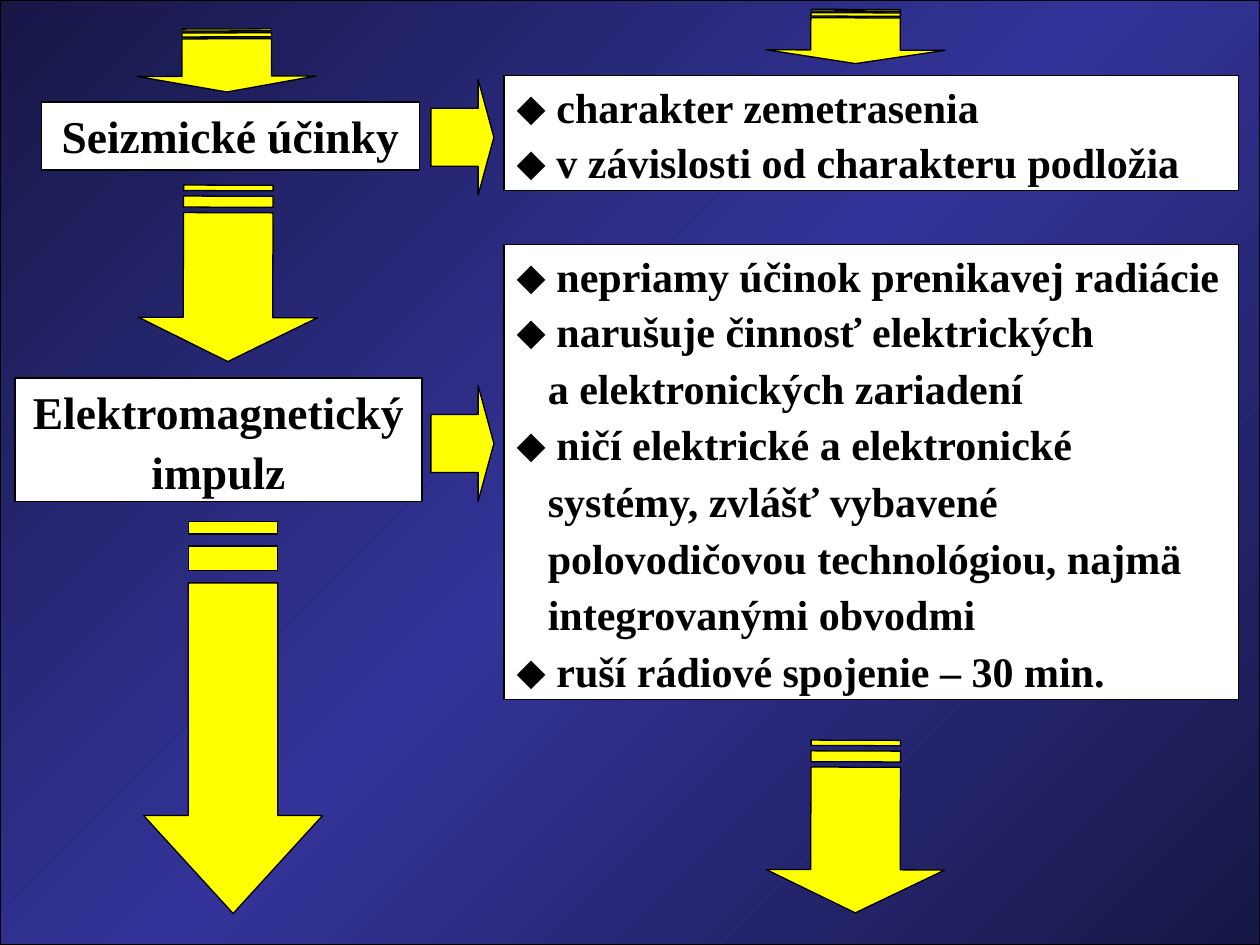
import copy

import pptx
import pptx.dml.color
import pptx.enum.shapes
import pptx.enum.text
import pptx.oxml.ns
import pptx.util

RGB = pptx.dml.color.RGBColor
BLACK = RGB(0x00, 0x00, 0x00)
WHITE = RGB(0xFF, 0xFF, 0xFF)
YELLOW = RGB(0xFF, 0xFF, 0x00)
NAVY = RGB(0x17, 0x17, 0x46)
BLUE = RGB(0x33, 0x33, 0x99)

KIND = pptx.enum.shapes.MSO_SHAPE
ALIGN = pptx.enum.text.PP_ALIGN
COLS, ROWS = 100, 75
MARK = "⬥"

# Striped arrow outlines, as shares of its length and breadth
ARROW = [
    [(5 / 32, 0.25), (0.75, 0.25), (0.75, 0), (1, 0.5),
     (0.75, 1), (0.75, 0.75), (5 / 32, 0.75)],
    [(0, 0.25), (1 / 32, 0.25), (1 / 32, 0.75), (0, 0.75)],
    [(2 / 32, 0.25), (4 / 32, 0.25), (4 / 32, 0.75), (2 / 32, 0.75)],
]


def write(para, text, size=24, font="Times New Roman", bold=True, color=BLACK):
    """Add one formatted run to a paragraph."""
    run = para.add_run()
    run.text = text
    run.font.size = pptx.util.Pt(size)
    run.font.name = font
    run.font.bold = bold
    run.font.color.rgb = color


class Board:
    """Holds the style and the current slide; lengths are grid cells."""

    def __init__(self, deck):
        self.slide = deck.slides.add_slide(deck.slide_layouts[6])
        self.col = deck.slide_width / COLS
        self.row = deck.slide_height / ROWS
        self.edge = pptx.util.Pt(0.75)

    def paint(self, shape, fill=None):
        shape.shadow.inherit = False
        shape.line.color.rgb = BLACK
        shape.line.width = self.edge
        if fill is not None:
            shape.fill.solid()
            shape.fill.fore_color.rgb = fill
        return shape

    def shape(self, kind, x, y, w, h, fill=None):
        shape = self.slide.shapes.add_shape(
            kind, round(x * self.col), round(y * self.row),
            round(w * self.col), round(h * self.row))
        return self.paint(shape, fill)

    def back(self):
        fill = self.shape(KIND.RECTANGLE, 0, 0, COLS, ROWS).fill
        fill.gradient()
        fill.gradient_angle = 135
        stops = fill.gradient_stops
        first = stops[0]._gs
        first.addnext(copy.deepcopy(first))
        for stop, (place, color) in zip(
                fill.gradient_stops, [(0, NAVY), (0.5, BLUE), (1, NAVY)]):
            stop.position = place
            stop.color.rgb = color

    def down(self, mid, top, length, turn=90.2, wide=14.2):
        """Striped arrow, drawn pointing right and then turned down."""
        left = mid - length / 2
        high = top + length / 2 - wide / 2

        def spot(point):
            return (round((left + point[0] * length) * self.col),
                    round((high + point[1] * wide) * self.row))

        pen = None
        for ring in ARROW:
            first, *rest = map(spot, ring)
            if pen is None:
                pen = self.slide.shapes.build_freeform(*first)
            else:
                pen.move_to(*first)
            pen.add_line_segments(rest, close=True)
        self.paint(pen.convert_to_shape(), YELLOW).rotation = turn

    def right(self, y):
        arrow = self.shape(KIND.RIGHT_ARROW, 34.2, y, 5, 9.2, YELLOW)
        arrow.adjustments[0] = 0.5
        arrow.adjustments[1] = 0.25

    def box(self, x, y, w, h, lines, size=24, align=ALIGN.LEFT, marks=False):
        """White text box; with marks, unmarked lines are indented."""
        frame = self.shape(KIND.RECTANGLE, x, y, w, h, WHITE).text_frame
        frame.word_wrap = True
        frame.auto_size = pptx.enum.text.MSO_AUTO_SIZE.SHAPE_TO_FIT_TEXT
        frame.vertical_anchor = pptx.enum.text.MSO_ANCHOR.TOP
        for i, line in enumerate(lines):
            para = frame.add_paragraph() if i else frame.paragraphs[0]
            para.alignment = align
            if i:
                para.line_spacing = 0.5
                para.space_before = pptx.util.Pt(size * 0.625)
                para.space_after = pptx.util.Pt(size * 0.125)
            if line.startswith(MARK):
                write(para, MARK, size, "Arial")
            elif marks:
                para._p.get_or_add_pPr().set("marL", str(pptx.util.Inches(0.25)))
            write(para, line.removeprefix(MARK), size)


def main():
    deck = pptx.Presentation()
    deck.slide_width = pptx.util.Inches(10)
    deck.slide_height = pptx.util.Inches(7.5)
    board = Board(deck)
    board.back()

    # Left column: effects
    board.down(18, 2.3, 5, turn=89.8)
    board.box(3.3, 8.1, 30, 5.4, ["Seizmické účinky"], 26, ALIGN.CENTER)
    board.down(18.1, 14.7, 14)
    board.box(1.2, 30, 32.3, 9.8, ["Elektromagnetický", "impulz"],
              26, ALIGN.CENTER)
    board.down(18.5, 41.4, 31.1, turn=90)

    # Links from effects to details
    for y in (6.3, 30.6):
        board.right(y)

    # Right column: details
    board.down(67.9, 0.75, 4.3)
    board.box(40, 6, 58.3, 9.1, [
        "⬥ charakter zemetrasenia",
        "⬥ v závislosti od charakteru podložia",
    ], marks=True)
    board.box(40, 19.4, 58.3, 36.1, [
        "⬥ nepriamy účinok prenikavej radiácie",
        "⬥ narušuje činnosť elektrických",
        "a elektronických zariadení",
        "⬥ ničí elektrické a elektronické",
        "systémy, zvlášť vybavené",
        "polovodičovou technológiou, najmä",
        "integrovanými obvodmi",
        "⬥ ruší rádiové spojenie – 30 min.",
    ], marks=True)
    board.down(67.9, 58.75, 13.7)

    deck.save("out.pptx")


if __name__ == "__main__":
    main()
